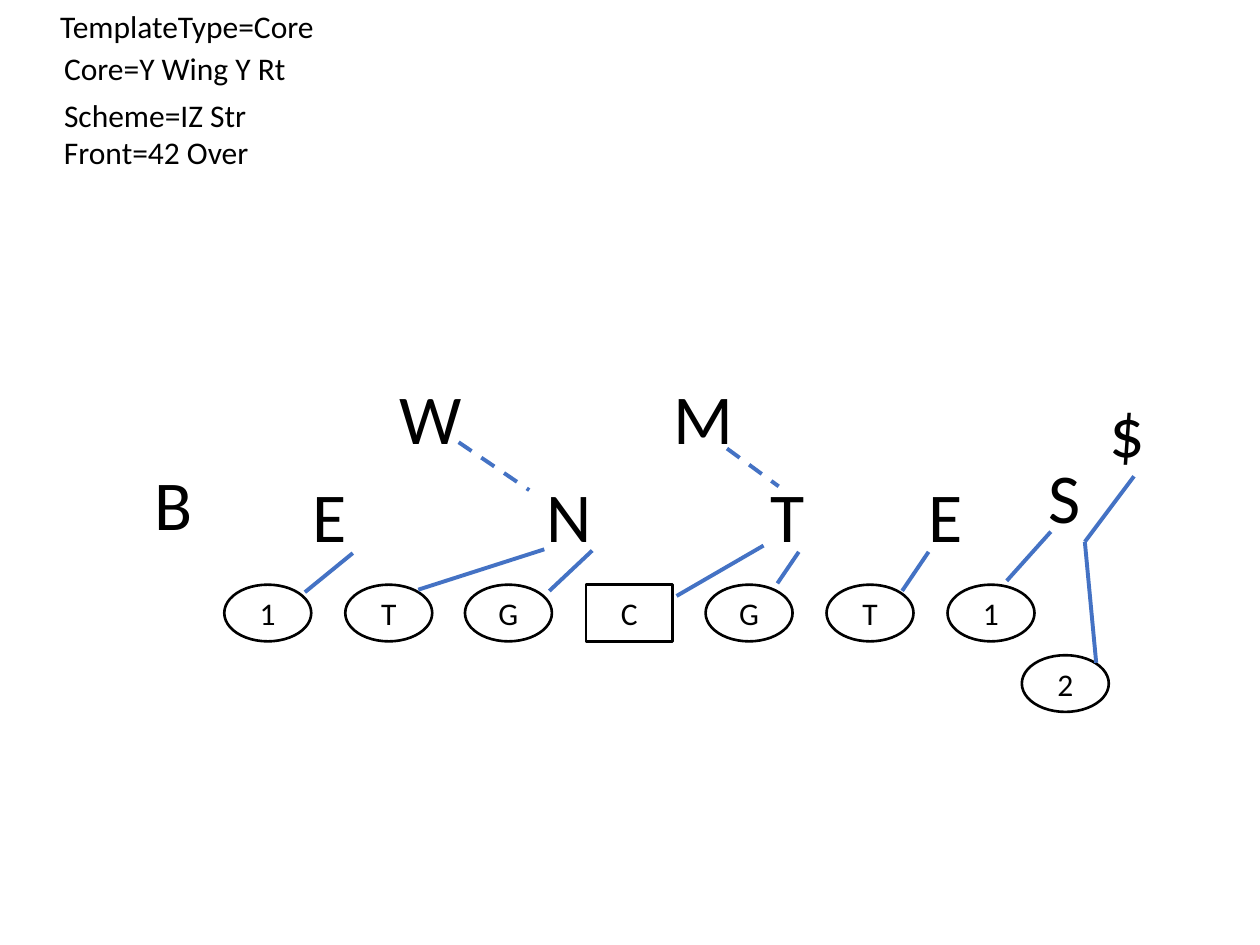
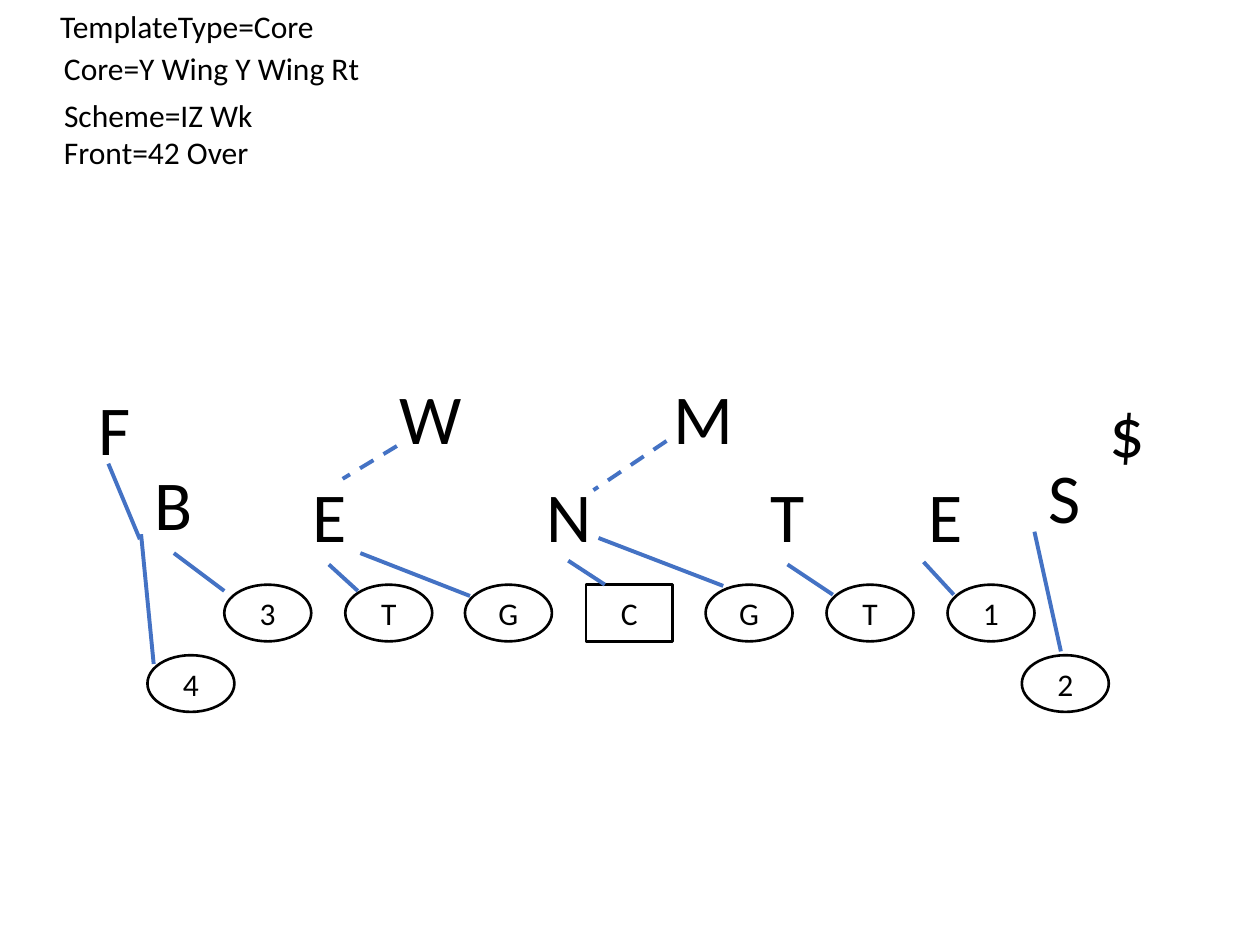
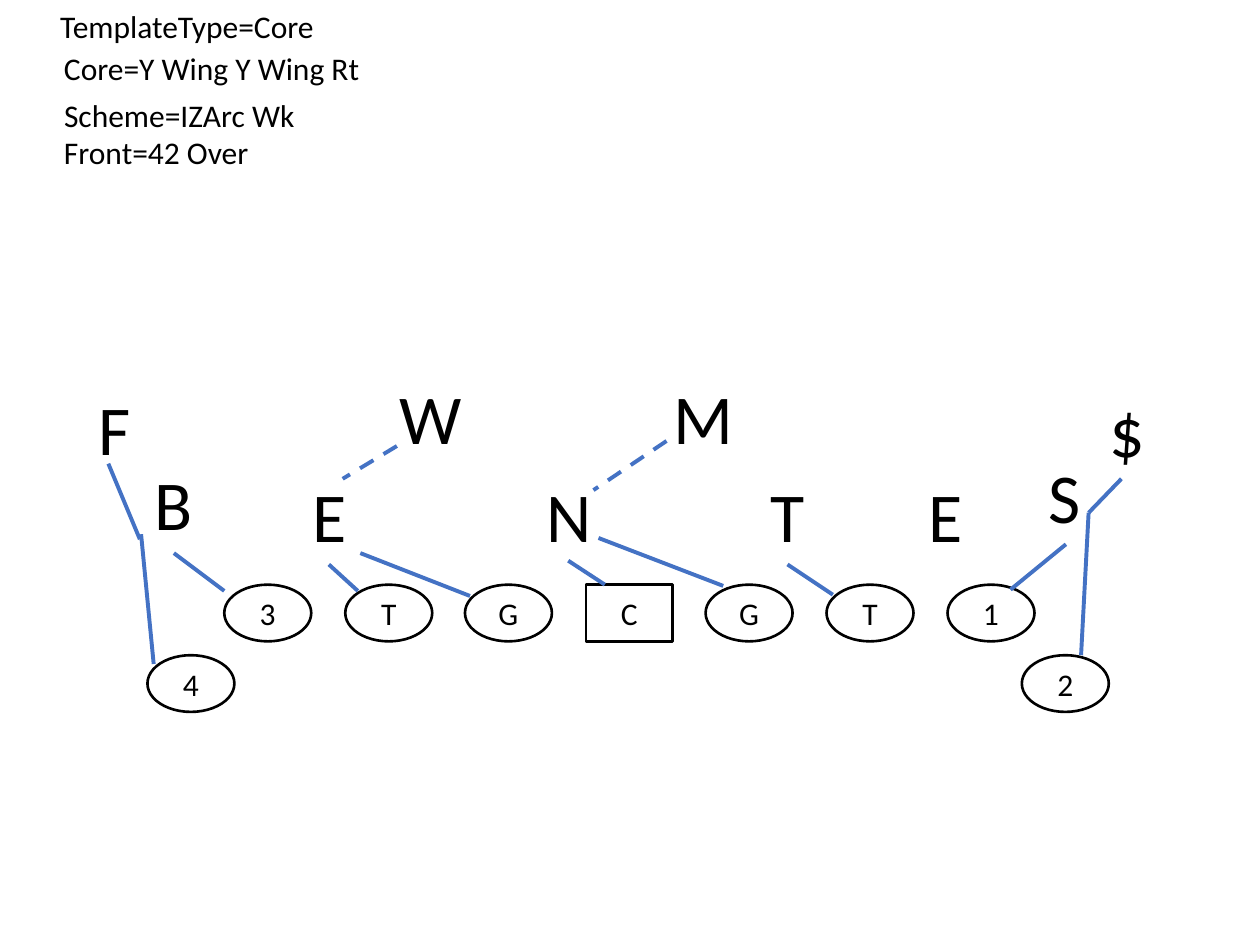
from pptx import Presentation
from pptx.dml.color import RGBColor
from pptx.enum.dml import MSO_LINE
from pptx.enum.shapes import MSO_CONNECTOR, MSO_SHAPE
from pptx.enum.text import MSO_ANCHOR, MSO_AUTO_SIZE, PP_ALIGN
from pptx.oxml.ns import qn
from pptx.util import Pt
from lxml import etree

PX = 9144  # 100 px to the inch
COLORS = {"ink": "000000", "paper": "FFFFFF", "block": "4472C4"}
FONT = "Calibri"
OVAL, RECT = MSO_SHAPE.OVAL, MSO_SHAPE.RECTANGLE
STRAIGHT, DASH = MSO_CONNECTOR.STRAIGHT, MSO_LINE.DASH
CENTER, MIDDLE, TOP = PP_ALIGN.CENTER, MSO_ANCHOR.MIDDLE, MSO_ANCHOR.TOP
GROW = MSO_AUTO_SIZE.SHAPE_TO_FIT_TEXT

# Front players: letter, left, top, width
FRONT = [
    ("N", 424, 370, 56), ("T", 602, 370, 48), ("E", 727, 370, 48),
    ("E", 238, 370, 48), ("W", 307, 292, 70), ("M", 525, 292, 70),
    ("S", 822, 355, 48), ("B", 113, 361, 51), ("$", 871, 303, 39),
]
FREE_SAFETY = ("F", 68, 301, 35)
NARROW = 40  # letters in boxes narrower than this wrap

# Core players: seven on the line, wings behind it
LINE_LEFT, LINE_TOP, LINE_PITCH = 178, 464, 95.6
PLAYER_W, PLAYER_H = 69, 45
RIGHT_WING, LEFT_WING = ("2", 811, 520), ("4", 117, 520)

# Header lines: left, top of each
HEADER_SPOTS = [(38, 1), (41, 34), (41, 71), (41, 101)]

# Blocks: x1, y1, x2, y2
WEAK_BLOCKS = [
    (261, 448, 284, 469), (286, 439, 373, 473), (451, 445, 480, 464),
    (475, 427, 574, 465), (625, 448, 661, 472), (138, 439, 178, 469),
    (112, 424, 122, 527), (111, 428, 86, 368),
]
WEAK_CLIMBS = [(315, 354, 272, 380), (529, 350, 471, 389)]

PLAYS = [
    {
        "header": [("TemplateType=Core", 224), ("Core=Y Wing Y Rt", 198),
                   ("Scheme=IZ Str", 172), ("Front=42 Over", 174)],
        "line": "1TGCGT1",
        "wings": [RIGHT_WING],
        "front": FRONT,
        "blocks": [
            (834, 422, 799, 461), (870, 526, 861, 430), (861, 430, 900, 378),
            (737, 438, 716, 469), (634, 438, 617, 463), (606, 433, 537, 473),
            (470, 437, 436, 469), (432, 436, 332, 468), (280, 439, 242, 470),
        ],
        "climbs": [(577, 356, 618, 386), (364, 351, 420, 389)],
    },
    {
        "header": [("TemplateType=Core", 224), ("Core=Y Wing Y Wing Rt", 257),
                   ("Scheme=IZ Wk", 171), ("Front=42 Over", 174)],
        "line": "3TGCGT1",
        "wings": [RIGHT_WING, LEFT_WING],
        "front": FRONT + [FREE_SAFETY],
        "blocks": WEAK_BLOCKS + [(733, 446, 757, 472), (821, 422, 842, 517)],
        "climbs": WEAK_CLIMBS,
    },
    {
        "header": [("TemplateType=Core", 224), ("Core=Y Wing Y Wing Rt", 257),
                   ("Scheme=IZArc Wk", 205), ("Front=42 Over", 174)],
        "line": "3TGCGT1",
        "wings": [RIGHT_WING, LEFT_WING],
        "front": FRONT + [FREE_SAFETY],
        "blocks": WEAK_BLOCKS + [(846, 432, 802, 468), (864, 407, 858, 520),
                                 (890, 380, 864, 407)],
        "climbs": WEAK_CLIMBS,
    },
]


def emu(*lengths):
    return [round(n * PX) for n in lengths]


def rgb(name):
    return RGBColor.from_string(COLORS[name])


def write(sp, text, size=18, align=None, anchor=TOP, wrap=True):
    tf = sp.text_frame
    tf.word_wrap = wrap
    tf.vertical_anchor = anchor
    p = tf.paragraphs[0]
    p.alignment = align
    r = p.add_run()
    r.text = text
    r.font.name, r.font.size = FONT, Pt(size)
    r.font.color.rgb = rgb("ink")


def add_label(s, text, x, y, w, h, **fmt):
    sp = s.shapes.add_textbox(*emu(x, y, w, h))
    write(sp, text, **fmt)
    sp.text_frame.auto_size = GROW


def add_player(s, text, x, y):
    kind = RECT if text == "C" else OVAL
    sp = s.shapes.add_shape(kind, *emu(x, y, PLAYER_W, PLAYER_H))
    sp.shadow.inherit = False
    sp.fill.solid()
    sp.fill.fore_color.rgb = rgb("paper")
    sp.line.color.rgb = rgb("ink")
    sp.line.width = Pt(1.5)
    write(sp, text, align=CENTER, anchor=MIDDLE)


def add_block(s, ends, dash=None):
    cxn = s.shapes.add_connector(STRAIGHT, *emu(*ends))
    cxn.line.color.rgb = rgb("block")
    cxn.line.width = Pt(2.25)
    if dash:
        cxn.line.dash_style = dash
    etree.SubElement(cxn._element.spPr, qn("a:effectLst"))


def add_play(prs, play):
    s = prs.slides.add_slide(prs.slide_layouts[6])
    for (text, w), (x, y) in zip(play["header"], HEADER_SPOTS):
        add_label(s, text, x, y, w, 40, wrap=False)
    for i, text in enumerate(play["line"]):
        add_player(s, text, round(LINE_LEFT + i * LINE_PITCH), LINE_TOP)
    for wing in play["wings"]:
        add_player(s, *wing)
    for text, x, y, w in play["front"]:
        add_label(s, text, x, y, w, 77, size=40, wrap=w < NARROW)
    for ends in play["blocks"]:
        add_block(s, ends)
    for ends in play["climbs"]:
        add_block(s, ends, dash=DASH)


def main():
    prs = Presentation()
    prs.slide_width, prs.slide_height = emu(1000, 750)
    for play in PLAYS:
        add_play(prs, play)
    prs.save("out.pptx")


if __name__ == "__main__":
    main()
